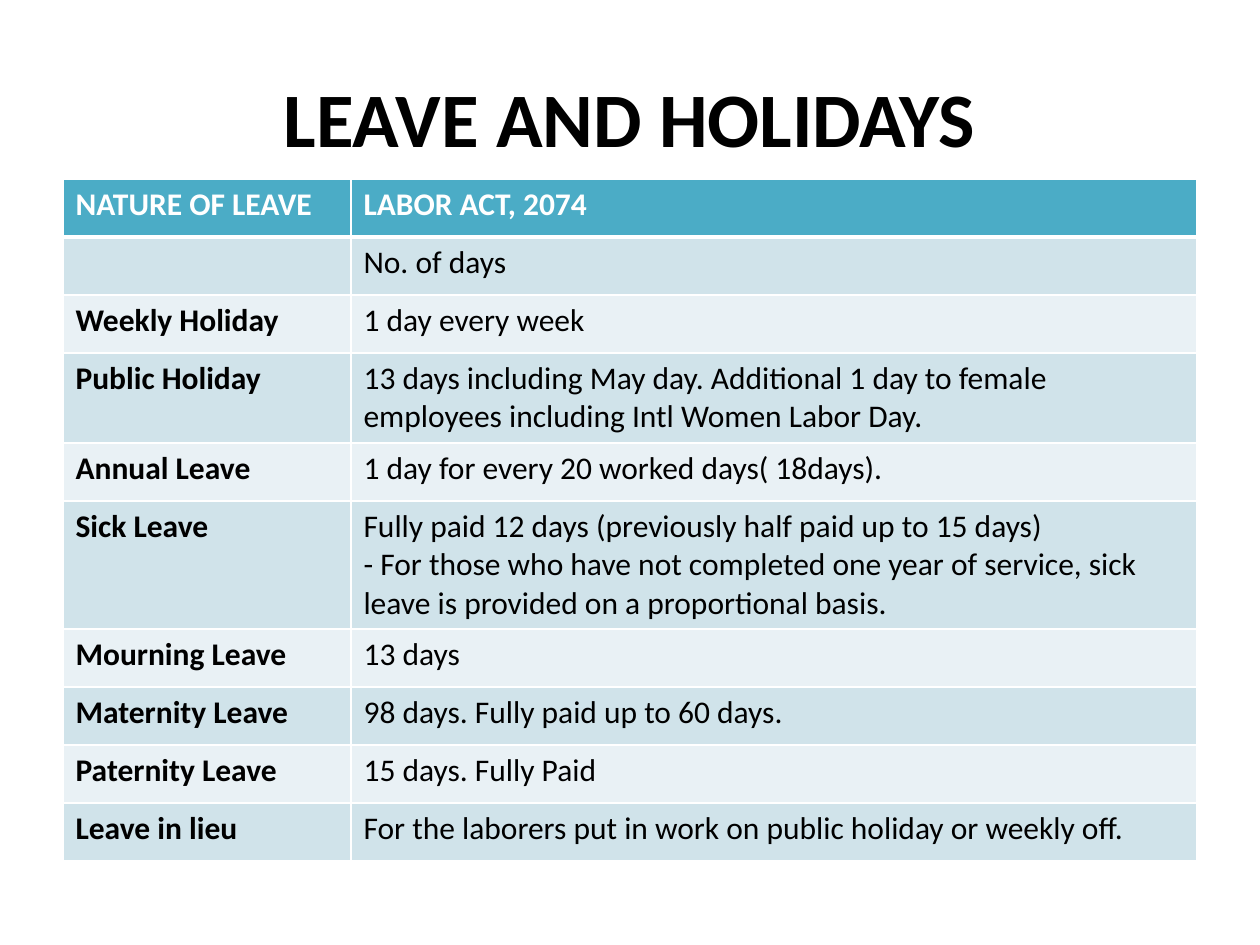
from dataclasses import dataclass

from lxml import etree
from pptx import Presentation
from pptx.dml.color import RGBColor
from pptx.enum.text import MSO_ANCHOR, PP_ALIGN
from pptx.oxml.ns import qn
from pptx.util import Pt

CENTER = PP_ALIGN.CENTER
MIDDLE = MSO_ANCHOR.MIDDLE
SCALE = 914400 // 126


@dataclass(frozen=True)
class Theme:
    font: str = "Calibri"
    ink: str = "000000"
    paper: str = "FFFFFF"
    head: str = "4BACC6"
    bands: tuple = ("D0E3EA", "E9F1F5")
    title: int = 44
    body: int = 18
    thin: int = 1
    thick: int = 3


THEME = Theme()
COLS = [288, 846]
ROW = 58
TALL = {3: 90, 5: 128}
ROWS = [
    ("NATURE OF LEAVE", "LABOR ACT, 2074"),
    ("", "No. of days"),
    ("Weekly Holiday", "1 day every week"),
    ("Public Holiday", "13 days including May day. Additional 1 day to female "
     "employees including Intl Women Labor Day."),
    ("Annual Leave", "1 day for every 20 worked days( 18days)."),
    ("Sick Leave", "Fully paid 12 days (previously half paid up to 15 days)\n"
     "- For those who have not completed one year of service, sick leave "
     "is provided on a proportional basis."),
    ("Mourning Leave", "13 days"),
    ("Maternity Leave", "98 days. Fully paid up to 60 days."),
    ("Paternity Leave", "15 days. Fully Paid"),
    ("Leave in lieu", "For the laborers put in work on public holiday or weekly off."),
]


def px(num):
    return num * SCALE


def write(frame, text, size, color, bold):
    frame.text = text
    for para in frame.paragraphs:
        font = para.font
        font.name = THEME.font
        font.size = Pt(size)
        font.bold = bold
        font.color.rgb = RGBColor.from_string(color)


def edge(cell, side, width):
    props = cell._tc.get_or_add_tcPr()
    line = etree.SubElement(props, qn(f"a:ln{side}"), w=str(Pt(width)))
    fill = etree.SubElement(line, qn("a:solidFill"))
    etree.SubElement(fill, qn("a:srgbClr"), val=THEME.paper)


def add_title(slide, text):
    box = slide.shapes.add_textbox(px(63), px(38), px(1134), px(157))
    frame = box.text_frame
    frame.word_wrap = True
    frame.vertical_anchor = MIDDLE
    write(frame, text, THEME.title, THEME.ink, True)
    frame.paragraphs[0].alignment = CENTER


def style_cell(cell, text, row, col):
    head = row == 0
    rules = {
        "L": THEME.thin,
        "R": THEME.thin,
        "T": THEME.thick if row == 1 else THEME.thin,
        "B": THEME.thick if head else THEME.thin,
    }
    for side, width in rules.items():
        edge(cell, side, width)
    fill = THEME.head if head else THEME.bands[(row - 1) % 2]
    cell.fill.solid()
    cell.fill.fore_color.rgb = RGBColor.from_string(fill)
    color = THEME.paper if head else THEME.ink
    write(cell.text_frame, text, THEME.body, color, head or col == 0)


def add_leaves(slide):
    highs = [TALL.get(row, ROW) for row in range(len(ROWS))]
    frame = slide.shapes.add_table(
        len(ROWS), len(COLS), px(63), px(179), px(sum(COLS)), px(sum(highs)))
    table = frame.table
    for col, width in zip(table.columns, COLS):
        col.width = px(width)
    for row, texts in enumerate(ROWS):
        table.rows[row].height = px(highs[row])
        for col, text in enumerate(texts):
            style_cell(table.cell(row, col), text, row, col)


def main():
    deck = Presentation()
    deck.slide_width = px(1260)
    deck.slide_height = px(945)
    slide = deck.slides.add_slide(deck.slide_layouts[6])
    add_title(slide, "LEAVE AND HOLIDAYS")
    add_leaves(slide)
    deck.save("out.pptx")


if __name__ == "__main__":
    main()
